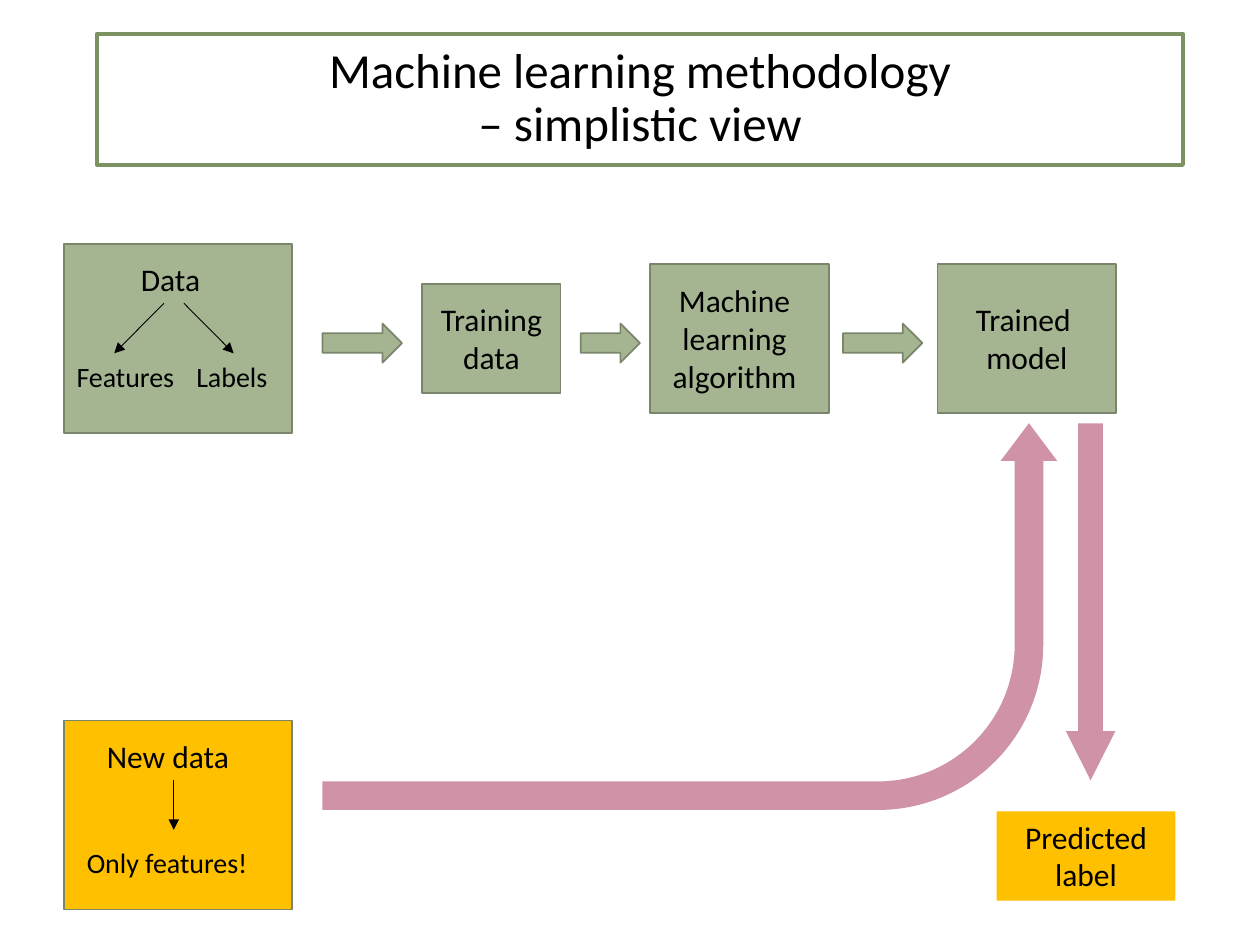
from lxml import etree
from pptx import Presentation
from pptx.dml.color import RGBColor
from pptx.enum.shapes import MSO_CONNECTOR, MSO_SHAPE
from pptx.enum.text import MSO_ANCHOR, PP_ALIGN
from pptx.oxml.ns import qn
from pptx.util import Pt

RECTANGLE, RIGHT_ARROW = MSO_SHAPE.RECTANGLE, MSO_SHAPE.RIGHT_ARROW
BENT_ARROW, DOWN_ARROW = MSO_SHAPE.BENT_ARROW, MSO_SHAPE.DOWN_ARROW
STRAIGHT = MSO_CONNECTOR.STRAIGHT
LEFT, CENTER = PP_ALIGN.LEFT, PP_ALIGN.CENTER
TOP, MIDDLE = MSO_ANCHOR.TOP, MSO_ANCHOR.MIDDLE

BLACK, GREEN, GREEN_EDGE = "000000", "A5B592", "7A866C"
TITLE_EDGE, AMBER, PINK = "7D9263", "FFC000", "D092A7"
FONT = "Calibri"


def color(hex_value):
    return RGBColor.from_string(hex_value)


def set_text(shape, lines, size, alignment, anchor=TOP):
    frame = shape.text_frame
    frame.word_wrap = True
    frame.vertical_anchor = anchor
    frame.text = "\n".join(lines)
    for paragraph in frame.paragraphs:
        paragraph.alignment = alignment
        paragraph.font.name = FONT
        paragraph.font.size = Pt(size)
        paragraph.font.color.rgb = color(BLACK)


def add_filled(slide, kind, box, fill, edge=None):
    shape = slide.shapes.add_shape(kind, *map(Pt, box))
    shape.shadow.inherit = False
    shape.fill.solid()
    shape.fill.fore_color.rgb = color(fill)
    if edge:
        shape.line.color.rgb = color(edge)
        shape.line.width = Pt(1)
    else:
        shape.line.fill.background()
    return shape


def add_label(slide, box, lines, size=18, alignment=LEFT):
    set_text(slide.shapes.add_textbox(*map(Pt, box)), lines, size, alignment)


def add_thin_arrow(slide, start, end):
    connector = slide.shapes.add_connector(STRAIGHT, *map(Pt, (*start, *end)))
    connector.line.color.rgb = color(BLACK)
    connector.line.width = Pt(0.5)
    line = connector.line._get_or_add_ln()
    etree.SubElement(line, qn("a:tailEnd"), type="triangle")
    etree.SubElement(connector._element.spPr, qn("a:effectLst"))


def add_title(slide, box):
    title = slide.shapes.title
    title.left, title.top, title.width, title.height = map(Pt, box)
    title.line.color.rgb = color(TITLE_EDGE)
    title.line.width = Pt(2.25)
    set_text(title, ["Machine learning methodology\v– simplistic view"], 28, CENTER, MIDDLE)
    title.text_frame.paragraphs[0].line_spacing = 0.9


def add_data_box(slide, box, fill, labels, arrows):
    """Place labels (text, x, y, width, size) and arrows relative to the box."""
    left, top = box[:2]
    add_filled(slide, RECTANGLE, box, fill, GREEN_EDGE)
    for text, x, y, width, size in labels:
        add_label(slide, (left + x, top + y, width, size * 1.6), [text], size)
    for x1, x2 in arrows:
        add_thin_arrow(slide, (left + x1, top + 33.8), (left + x2, top + 62.4))


def add_pipeline(slide, middle):
    """Place the process steps and the arrows between them on one centre line."""
    steps = [  # left, width, height, text left, text width, text height, lines
        (241.2, 79.2, 62.6, 241.2, 79.2, 51, ["Training data"]),
        (371.5, 102.2, 85, 371.5, 96.5, 73, ["Machine learning algorithm"]),
        (535.7, 102.2, 85, 547.2, 79.2, 51, ["Trained ", "model"]),
    ]
    for left, width, height, text_left, text_width, text_height, lines in steps:
        add_filled(slide, RECTANGLE, (left, middle - height / 2, width, height),
                   GREEN, GREEN_EDGE)
        add_label(slide, (text_left, middle - text_height / 2, text_width, text_height),
                  lines, alignment=CENTER)
    for left, width in [(184.3, 45.4), (331.9, 33.8), (481.7, 45.4)]:
        add_filled(slide, RIGHT_ARROW, (left, middle - 8.6, width, 22.3), GREEN, GREEN_EDGE)


def add_prediction(slide, box):
    """Place the route from new data up to the model and down to the label."""
    left, top, width, height = box
    # The bent arrow is turned a quarter, so its own width is the route's height
    shift = (width - height) / 2
    bent = add_filled(slide, BENT_ARROW, (left + shift, top - shift, height, width), PINK)
    for index, value in enumerate((0.074, 0.073, 0.097, 0.427)):
        bent.adjustments[index] = value
    bent.rotation = 270
    bent._element.spPr.find(qn("a:xfrm")).set("flipV", "1")

    down = add_filled(slide, DOWN_ARROW, (left + 424.8, top, 28.2, 204), PINK)
    down.adjustments[0], down.adjustments[1] = 0.5, 0.994

    label = add_filled(slide, RECTANGLE, (left + 385.2, top + 221.8, 102.2, 51), AMBER)
    set_text(label, ["Predicted", "label"], 18, CENTER)


def main():
    presentation = Presentation()
    presentation.slide_width, presentation.slide_height = Pt(720), Pt(540)
    slide = presentation.slides.add_slide(presentation.slide_layouts[5])

    add_title(slide, (55.4, 19.4, 620.6, 74.9))

    # Training row
    add_data_box(slide, (36.7, 139.5, 130.3, 108), GREEN,
                 [("Data", 36.7, 5.8, 73.4, 18),
                  ("Features", 0, 62.6, 79.2, 16),
                  ("Labels", 68.4, 62.6, 79.2, 16)],
                 [(57, 28.6), (68.4, 96.8)])
    add_pipeline(slide, 193.5)

    # Prediction row
    add_data_box(slide, (36.7, 411.8, 130.3, 108), AMBER,
                 [("New data", 17.3, 5.8, 104.4, 18),
                  ("Only features!", 5.8, 67.6, 130.3, 16)],
                 [(62.6, 62.6)])
    add_prediction(slide, (184.3, 241.9, 419.8, 221))

    presentation.save("out.pptx")


if __name__ == "__main__":
    main()
